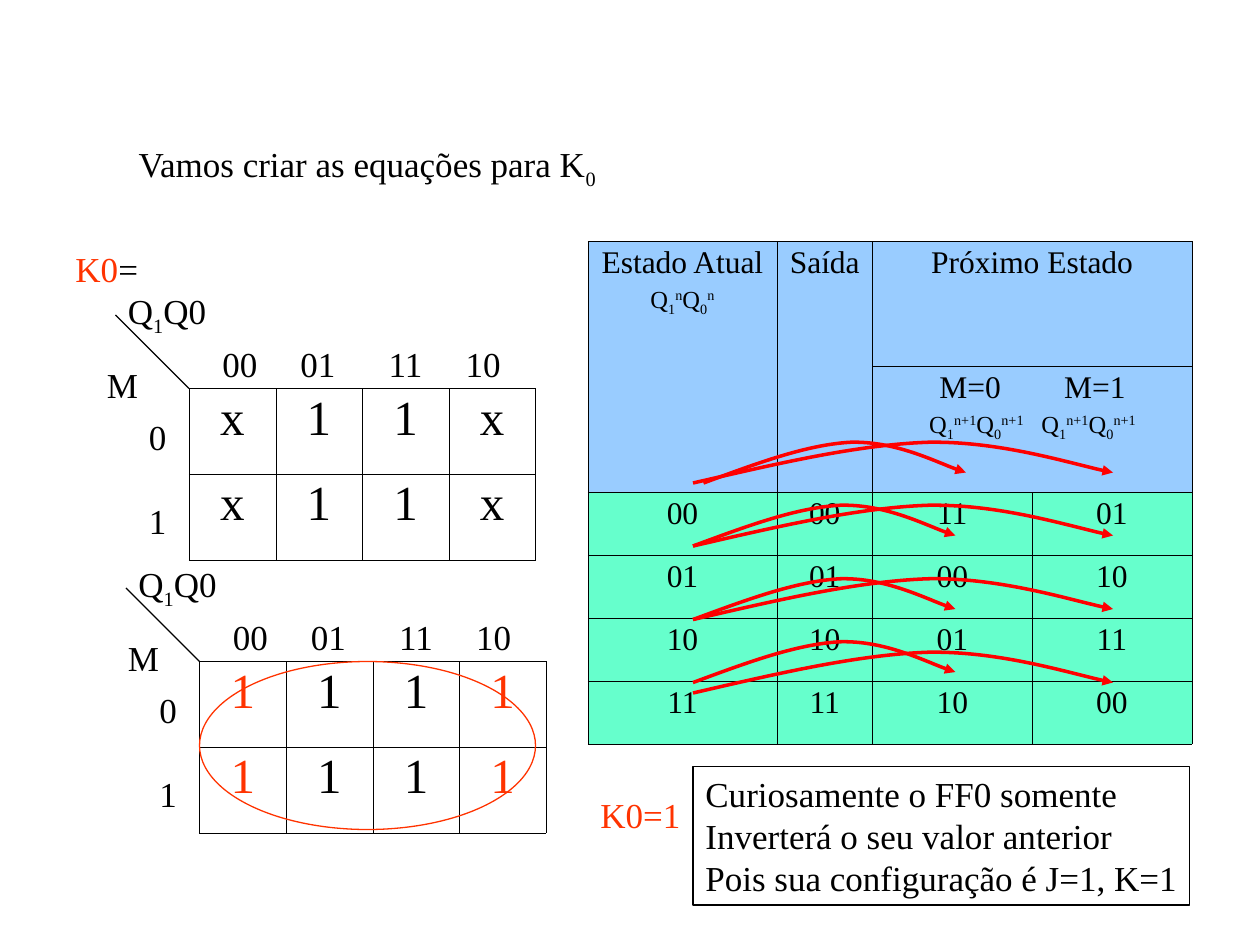
from dataclasses import dataclass
from lxml.etree import SubElement
from pptx import Presentation
from pptx.dml.color import RGBColor
from pptx.enum.shapes import MSO_CONNECTOR, MSO_SHAPE
from pptx.enum.text import MSO_ANCHOR, MSO_AUTO_SIZE, PP_ALIGN
from pptx.oxml import parse_xml
from pptx.oxml.ns import nsdecls, qn
from pptx.util import Inches, Pt


@dataclass(frozen=True)
class Theme:
    font: str = "Times New Roman"
    ink: str = "000000"
    mark: str = "FF3300"
    arc: str = "FF0000"
    head: str = "99CCFF"
    body: str = "66FFCC"
    text: int = 20
    cell: int = 18
    small: int = 14
    big: int = 28
    thin: float = 0.75
    thick: float = 2


T = Theme()
UNIT = Inches(1) // 12
LEFT = {"alignment": PP_ALIGN.LEFT}
MID = {"alignment": PP_ALIGN.CENTER, "line_spacing": 0.93}
TABBED = LEFT | {"line_spacing": 0.93}
FRAME = {
    "margin_left": Inches(0.1), "margin_right": Inches(0.1),
    "margin_top": Inches(0.05), "margin_bottom": Inches(0.05),
    "vertical_anchor": MSO_ANCHOR.TOP, "auto_size": MSO_AUTO_SIZE.NONE,
}
PLAIN = {"first_row": False, "horz_banding": False}
BEND = [(0, 1), (0.2, 0.54), (0.39, 0.09), (0.56, 0.03),
        (0.73, 0), (0.93, 0.63), (1, 0.75)]


def put(item, form):
    for key, val in form.items():
        setattr(item, key, val)


def grid(*vals):
    return [round(val * UNIT) for val in vals]


def rgb(code):
    return RGBColor.from_string(code)


def state(n):
    return [("Q", 0), ("1", -25), (n, 30), ("Q", 0), ("0", -25), (n, 30)]


def write(par, runs, size=T.text, form=LEFT, tabs=(), color=T.ink):
    put(par, form)
    if tabs:
        stops = SubElement(par._p.get_or_add_pPr(), qn("a:tabLst"))
        for pos in tabs:
            SubElement(stops, qn("a:tab"), pos=str(Inches(pos)), algn="l")
    for text, base, *hue in [(runs, 0)] if isinstance(runs, str) else runs:
        run = par.add_run()
        run.text = text
        put(run.font, {"name": T.font, "size": Pt(size)})
        run.font.color.rgb = rgb(hue[0] if hue else color)
        if base:
            run._r.get_or_add_rPr().set("baseline", str(base * 1000))


def lines(frame, rows, wrap=False, gap=0, **kind):
    put(frame, FRAME | {"word_wrap": wrap})
    for num, runs in enumerate(rows):
        par = frame.add_paragraph() if num else frame.paragraphs[0]
        if num and gap:
            par.space_before = Pt(gap)
        write(par, runs, **kind)


def label(slide, box, *rows, **kind):
    lines(slide.shapes.add_textbox(*grid(*box)).text_frame, rows, **kind)


def heading(slide, box, runs):
    title = slide.shapes.title
    put(title, dict(zip(("left", "top", "width", "height"), grid(*box))))
    lines(title.text_frame, [runs], wrap=True)


def stroke(line, color, width):
    line.color.rgb = rgb(color)
    line.width = Pt(width)


def shape(slide, kind, box, color):
    item = slide.shapes.add_shape(kind, *grid(*box))
    item.shadow.inherit = False
    item.fill.background()
    stroke(item.line, color, T.thin)
    return item


def slant(slide, x, y, size):
    line = slide.shapes.add_connector(
        MSO_CONNECTOR.STRAIGHT, *grid(x, y, x - size, y - size))
    stroke(line.line, T.ink, T.thin)
    SubElement(line._element.spPr, qn("a:effectLst"))


def arc(slide, x, y, wide, high=4):
    dots = [grid(x + wide * u, y + high * v) for u, v in BEND]
    pen = slide.shapes.build_freeform(*dots[0])
    pen.add_line_segments(dots[1:], close=False)
    item = pen.convert_to_shape()
    item.shadow.inherit = False
    item.fill.background()
    stroke(item.line, T.arc, T.thick)
    SubElement(item.line._get_or_add_ln(), qn("a:tailEnd"), type="triangle")
    route = next(item._element.iter(qn("a:path")))
    segs = route.findall(qn("a:lnTo"))
    for i in range(0, len(segs), 3):
        curve = SubElement(route, qn("a:cubicBezTo"))
        for seg in segs[i:i + 3]:
            curve.append(seg[0])
            route.remove(seg)


def edge(cell):
    props = cell._tc.get_or_add_tcPr()
    for i, side in enumerate("LRTB"):
        props.insert(i, parse_xml(
            f'<a:ln{side} {nsdecls("a")} w="762"><a:solidFill>'
            f'<a:srgbClr val="{T.ink}"/></a:solidFill></a:ln{side}>'))


def table(slide, x, y, cols, rows, fills):
    box = grid(x, y, sum(cols), sum(rows))
    tab = slide.shapes.add_table(len(rows), len(cols), *box).table
    put(tab, PLAIN)
    for col, wide in zip(tab.columns, grid(*cols)):
        col.width = wide
    for row, high, tint in zip(tab.rows, grid(*rows), fills):
        row.height = high
        for cell in row.cells:
            if tint:
                cell.fill.solid()
                cell.fill.fore_color.rgb = rgb(tint)
            else:
                cell.fill.background()
            edge(cell)
    return tab


def truth(slide):
    tab = table(slide, 56, 23, [18, 9.1, 15.2, 15.2], [11.9, 12] + [6] * 4,
                [T.head] * 2 + [T.body] * 4)
    for a, b in (((0, 0), (1, 0)), ((0, 1), (1, 1)),
                 ((0, 2), (0, 3)), ((1, 2), (1, 3))):
        tab.cell(*a).merge(tab.cell(*b))
    for col, text in enumerate(("Estado Atual", "Saída", "Próximo Estado")):
        write(tab.cell(0, col).text_frame.paragraphs[0], text, T.cell, MID)
    space = {"space_before": Pt(3.5)}
    write(tab.cell(0, 0).text_frame.add_paragraph(), state("n"),
          T.small, MID | space)
    frame = tab.cell(1, 2).text_frame
    write(frame.paragraphs[0], "\tM=0\tM=1", T.cell, TABBED, (0.43, 1.42))
    step = [("\t", 0)] + state("n+1")
    write(frame.add_paragraph(), step * 2, T.small, TABBED | space,
          (0.35, 1.24))
    data = ("00 00 11 01", "01 01 00 10", "10 10 01 11", "11 11 10 00")
    for r, row in enumerate(data, 2):
        for c, text in enumerate(row.split()):
            write(tab.cell(r, c).text_frame.paragraphs[0], text, T.cell, MID)


def karnaugh(slide, x, y, vals, shift, hot=()):
    tab = table(slide, x, y, [8.25] * 4, [8.16] * 2, [None] * 2)
    for r in range(2):
        for c, text in enumerate(vals):
            write(tab.cell(r, c).text_frame.paragraphs[0], text, T.big, MID,
                  color=T.mark if c in hot else T.ink)
    slant(slide, x, y, 7)
    label(slide, (x - 7, y - 10, 9.8, 5.8), [("Q", 0), ("1", -25), ("Q0", 0)])
    label(slide, (x - shift, y - 3, 5.4, 5.3), "M")
    label(slide, (x + 2, y - 5, 29, 5.3), "00\t01\t11\t10", wrap=True,
          tabs=(0.62, 1.32, 1.93))
    label(slide, (x - 5, y + 2, 4.1, 13.2), "0", "1", gap=24)


def main():
    deck = Presentation()
    put(deck, {"slide_width": 120 * UNIT, "slide_height": 90 * UNIT})
    slide = deck.slides.add_slide(deck.slide_layouts[5])
    heading(slide, (12, 13, 89.3, 25.8),
            [("Vamos criar as equações para K", 0), ("0", -25)])
    truth(slide)
    label(slide, (6, 23, 8.3, 5.3), [("K0", 0, T.mark), ("=", 0)])
    karnaugh(slide, 18, 37, "x11x", 9)
    karnaugh(slide, 19, 63, "1111", 8, hot=(0, 3))
    label(slide, (56, 75, 10, 5.3), "K0=1", color=T.mark)
    for x, y in ((67, 42), (66, 48), (66, 55), (66, 61)):
        arc(slide, x, y, 25)
    for y in (42, 48, 55, 62):
        arc(slide, 66, y, 40)
    shape(slide, MSO_SHAPE.OVAL, (19, 63, 32, 16), T.mark)
    note = shape(slide, MSO_SHAPE.RECTANGLE, (66, 73, 47.3, 13.2), T.ink)
    lines(note.text_frame, ["Curiosamente o FF0 somente",
                            "Inverterá o seu valor anterior",
                            "Pois sua configuração é J=1, K=1"])
    deck.save("out.pptx")


if __name__ == "__main__":
    main()
